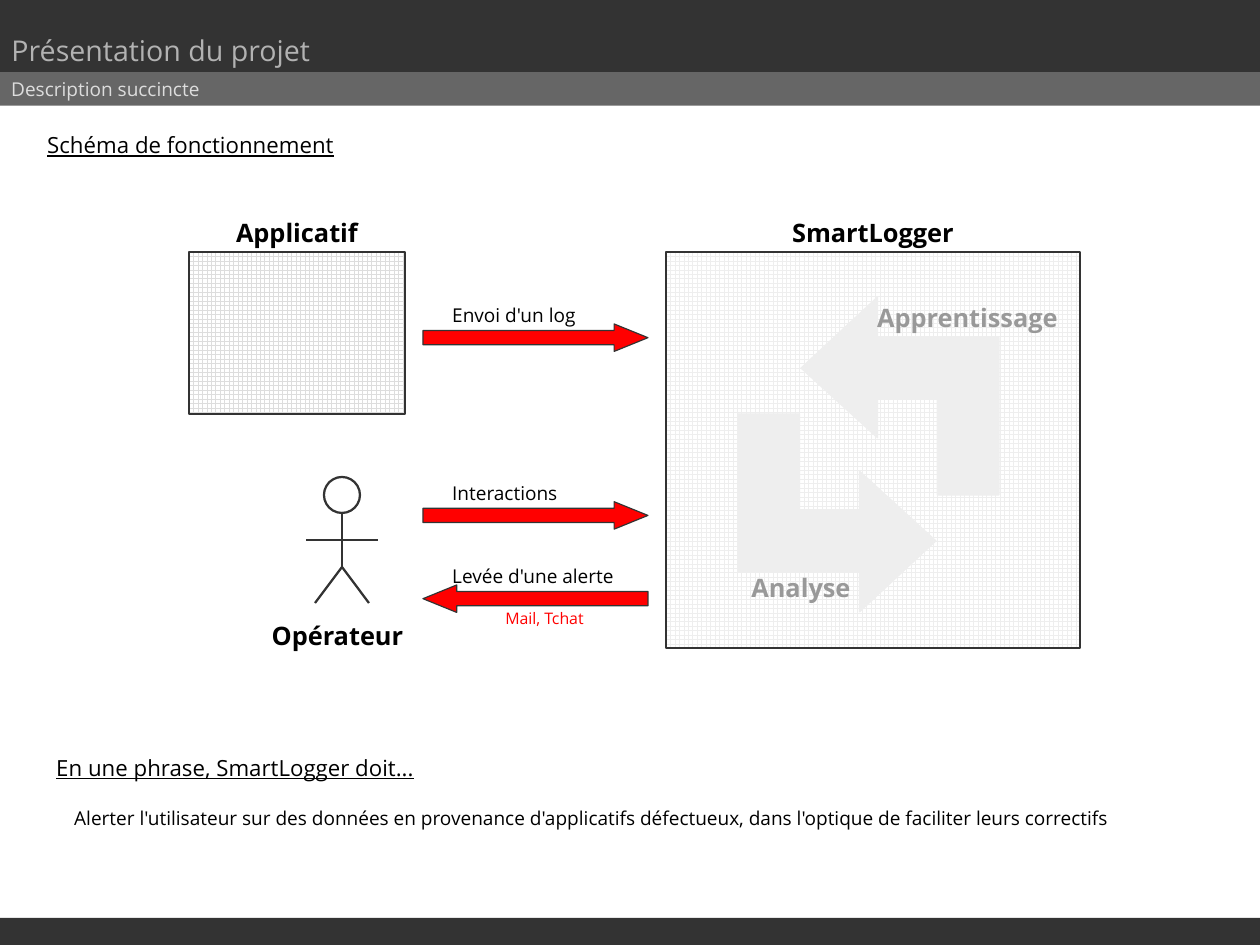
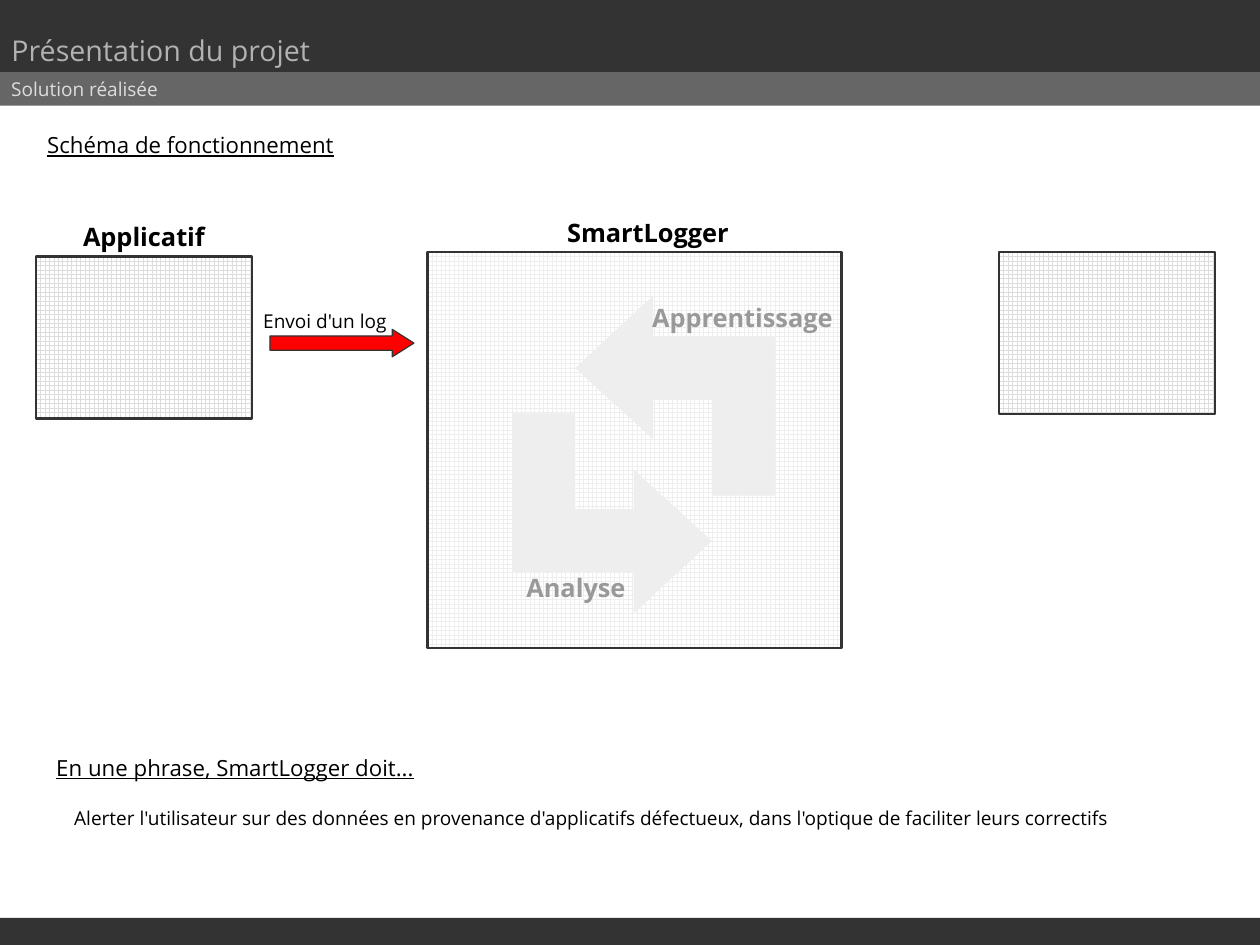
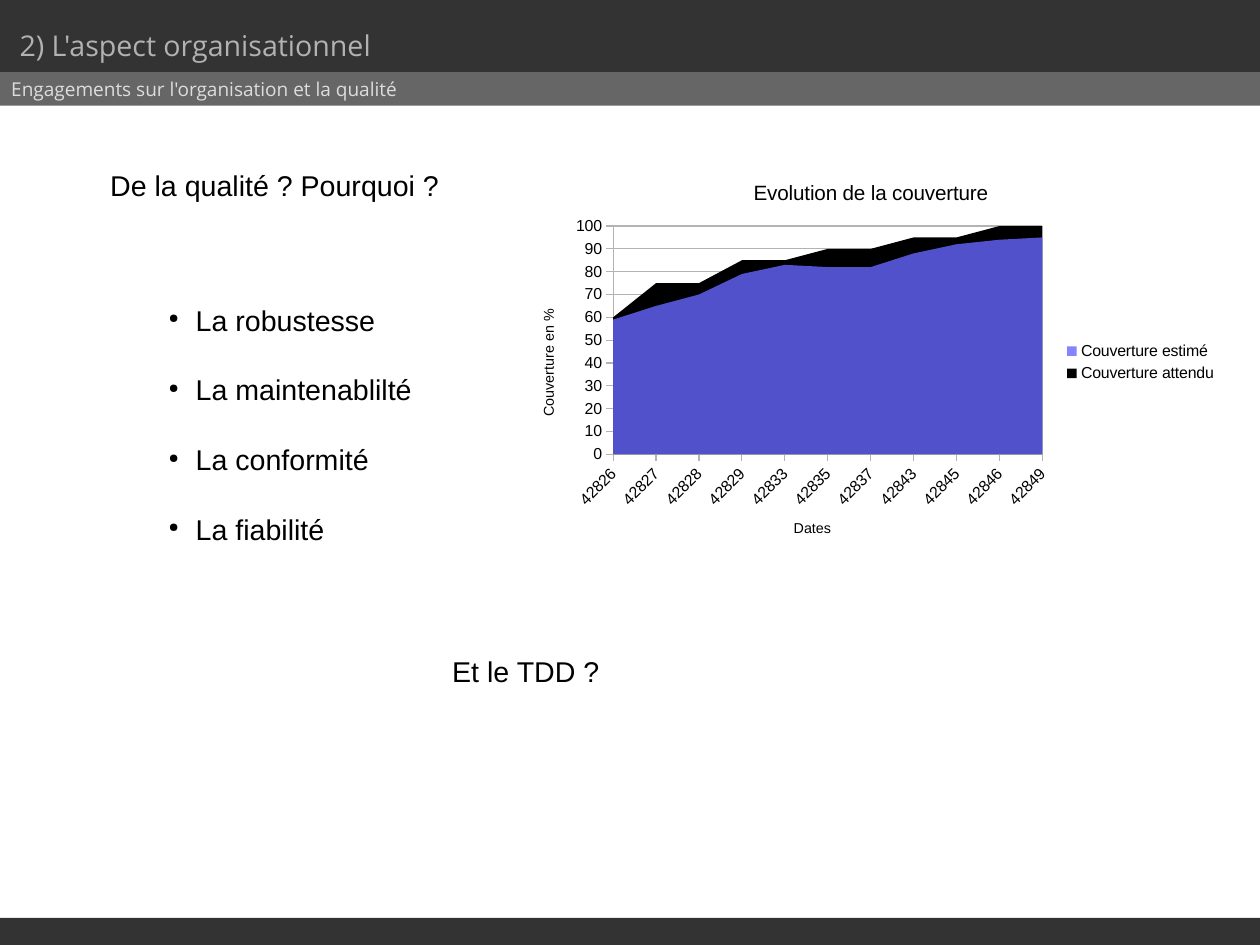
import pptx
import pptx.chart.data
import pptx.dml.color
import pptx.enum.chart
import pptx.enum.dml
import pptx.enum.shapes
import pptx.enum.text
import pptx.oxml
import pptx.oxml.ns
import pptx.util
from lxml import etree

# Grid: 28 columns by 21 rows of square cells, one centimetre each
COLUMNS, ROWS = 28, 21

DARK, GREY, RED, BLACK, WHITE = "333333", "666666", "FF0000", "000000", "FFFFFF"
TITLE_TEXT, SUBTITLE_TEXT = "B2B2B2", "DDDDDD"
APP_GRID, LOGGER_GRID, LOOP_TEXT, CHART_LINE = "DDDDDD", "EEEEEE", "999999", "B3B3B3"
SANS, CHART_FONT = "Open Sans", "Arial"
OUTLINE = 1.42

SHAPE = pptx.enum.shapes.MSO_SHAPE
CENTER = pptx.enum.text.PP_ALIGN.CENTER
LEFT = pptx.enum.text.PP_ALIGN.LEFT

# Elbow arrow outline inside a square of LOOP_SIZE cells
LOOP_SIZE = 4.4
LOOP = [(2.7, 1.27), (2.7, 2.13), (1.37, 2.13), (1.37, 0), (0, 0),
        (0, 3.5), (2.7, 3.5), (2.7, 4.4), (4.4, 2.82)]


def cells(*counts):
    return [pptx.util.Cm(count) for count in counts]


def color(hex_text):
    return pptx.dml.color.RGBColor.from_string(hex_text)


def add_xml(parent, tag, **attributes):
    child = etree.SubElement(parent, pptx.oxml.ns.qn(tag))
    for name, value in attributes.items():
        child.set(name, str(value))
    return child


def style_font(font, size, hex_text=BLACK, name=SANS, bold=False, underline=None):
    font.size = pptx.util.Pt(size)
    font.name = name
    font.bold = bold
    font.underline = underline
    font.color.rgb = color(hex_text)


def set_text(box, text, size, hex_text=BLACK, align=LEFT, **style):
    frame = box.text_frame
    frame.word_wrap = True
    frame.auto_size = pptx.enum.text.MSO_AUTO_SIZE.NONE
    frame.vertical_anchor = pptx.enum.text.MSO_ANCHOR.TOP
    frame.text = text
    for paragraph in frame.paragraphs:
        paragraph.alignment = align
        for run in paragraph.runs:
            style_font(run.font, size, hex_text, **style)
    return frame


def add_label(slide, text, area, size, hex_text=BLACK, **style):
    return set_text(slide.shapes.add_textbox(*cells(*area)), text, size, hex_text, **style)


def add_block(slide, kind, area, fill=None, line=None, width=OUTLINE):
    block = slide.shapes.add_shape(kind, *cells(*area))
    finish_block(block, fill, line, width)
    return block


def finish_block(block, fill, line, width=0):
    block.shadow.inherit = False
    if fill:
        block.fill.solid()
        block.fill.fore_color.rgb = color(fill)
    else:
        block.fill.background()
    if line:
        block.line.color.rgb = color(line)
        block.line.width = pptx.util.Pt(width)
    else:
        block.line.fill.background()


def add_grid_box(slide, area, grid_color):
    box = add_block(slide, SHAPE.RECTANGLE, area, WHITE, DARK)
    box.fill.patterned()
    box.fill.pattern = pptx.enum.dml.MSO_PATTERN.LARGE_GRID
    box.fill.fore_color.rgb = color(grid_color)
    box.fill.back_color.rgb = color(WHITE)


def add_line(slide, start, end):
    line = slide.shapes.add_connector(
        pptx.enum.shapes.MSO_CONNECTOR.STRAIGHT, *cells(*start, *end))
    line.line.color.rgb = color(DARK)
    line.line.width = pptx.util.Pt(OUTLINE)
    add_xml(line.element.spPr, "a:effectLst")


def add_page(deck, title, subtitle, title_at=(0, 0.6)):
    """Slide with the shared bands, title and subtitle."""
    slide = deck.slides.add_slide(deck.slide_layouts[5])
    heading = slide.shapes.title
    for top, height, fill in [(1.4, 0.95, GREY), (20.4, ROWS - 20.4, DARK), (0, 1.6, DARK)]:
        band = add_block(slide, SHAPE.RECTANGLE, (0, top, COLUMNS, height), fill)
        heading.element.addprevious(band.element)
    heading.left, heading.top, heading.width, heading.height = cells(*title_at, 11, 1.1)
    set_text(heading, title, 18, TITLE_TEXT)
    add_label(slide, subtitle, (0, 1.6, COLUMNS, 0.8), 12, SUBTITLE_TEXT)
    return slide


def add_app_box(slide, left, top):
    add_grid_box(slide, (left, top, 4.8, 3.6), APP_GRID)


def add_application(slide, left, top):
    add_app_box(slide, left, top)
    add_label(slide, "Applicatif", (left - 0.2, top - 0.9, 5.2, 1), 16, bold=True, align=CENTER)


def add_loop_arrow(slide, left, top, turned=False):
    corners = [(LOOP_SIZE - x, LOOP_SIZE - y) if turned else (x, y) for x, y in LOOP]
    points = [cells(left + x, top + y) for x, y in corners]
    outline = slide.shapes.build_freeform(*points[0])
    outline.add_line_segments(points[1:], close=True)
    finish_block(outline.convert_to_shape(), LOGGER_GRID, LOGGER_GRID)


def add_logger(slide, box_left, content_left):
    top = 5.6
    add_grid_box(slide, (box_left, top, 9.2, 8.8), LOGGER_GRID)
    add_loop_arrow(slide, content_left + 1.6, top + 3.6)
    add_loop_arrow(slide, content_left + 3, top + 1, turned=True)
    for text, x, y, width, hex_text in [("SmartLogger", 0, -0.9, 9.2, BLACK),
                                        ("Analyse", 0.8, 7, 4.4, LOOP_TEXT),
                                        ("Apprentissage", 4, 1, 5.4, LOOP_TEXT)]:
        add_label(slide, text, (content_left + x, top + y, width, 1.1), 16, hex_text,
                  bold=True, align=CENTER)


def add_message(slide, text, left, top, width=5, head=1.23, indent=0.4,
                kind=SHAPE.RIGHT_ARROW):
    arrow = add_block(slide, kind, (left, top, width, 0.61), RED, DARK, 0)
    arrow.adjustments[0], arrow.adjustments[1] = 0.52, head
    add_label(slide, text, (left + indent, top - 0.57, 4.6, 1.2), 12)


def add_operator(slide):
    middle, neck, hip = 7.6, 11.4, 12.6
    add_block(slide, SHAPE.OVAL, (middle - 0.4, neck - 0.8, 0.8, 0.8), line=DARK)
    add_line(slide, (middle, neck), (middle, hip))
    add_line(slide, (middle - 0.8, 12), (middle + 0.8, 12))
    for side in (-0.6, 0.6):
        add_line(slide, (middle, hip), (middle + side, hip + 0.8))
    add_label(slide, "Opérateur", (5.6, 13.65, 3.8, 1.55), 16, bold=True, align=CENTER)


def add_scheme_texts(slide):
    add_label(slide, "Schéma de fonctionnement", (0.8, 2.8, 8.8, 1.4), 14, underline=True)
    add_label(slide, "En une phrase, SmartLogger doit...", (1, 16.63, 9.8, 1.1), 14,
              underline=True)
    add_label(slide, "Alerter l'utilisateur sur des données en provenance d'applicatifs "
              "défectueux, dans l'optique de faciliter leurs correctifs",
              (1.4, 17.8, 23.8, 1.2), 12)


def add_bullets(slide, items, area):
    frame = add_label(slide, "\n".join(items), area, 18, name=CHART_FONT)
    for position, paragraph in enumerate(frame.paragraphs):
        if position:
            paragraph.space_before = pptx.util.Pt(22.3)
        properties = paragraph._p.get_or_add_pPr()
        hang = pptx.util.Cm(0.6)
        properties.set("marL", str(hang))
        properties.set("indent", str(-hang))
        add_xml(add_xml(properties, "a:buClr"), "a:srgbClr", val=BLACK)
        add_xml(properties, "a:buSzPct", val=45000)
        add_xml(properties, "a:buChar", char="●")


def set_chart_title(owner, text, size):
    owner.has_title = True
    title = owner.chart_title if hasattr(owner, "chart_title") else owner.axis_title
    title.text_frame.text = text
    style_font(title.text_frame.paragraphs[0].runs[0].font, size, name=CHART_FONT)


def style_axis(axis, title):
    set_chart_title(axis, title, 9)
    style_font(axis.tick_labels.font, 10, name=CHART_FONT)
    axis.major_tick_mark = pptx.enum.chart.XL_TICK_MARK.OUTSIDE
    axis.format.line.color.rgb = color(CHART_LINE)
    axis.format.line.width = pptx.util.Pt(0)


def set_plot_area(chart, **shares):
    """Fix the inner plot area, in shares of the chart's size."""
    plot_area = chart._chartSpace.chart.plotArea
    for old in plot_area.findall(pptx.oxml.ns.qn("c:layout")):
        plot_area.remove(old)
    layout = add_xml(plot_area, "c:layout")
    plot_area.insert(0, layout)
    manual = add_xml(layout, "c:manualLayout")
    add_xml(manual, "c:layoutTarget", val="inner")
    add_xml(manual, "c:xMode", val="edge")
    add_xml(manual, "c:yMode", val="edge")
    for name, share in shares.items():
        add_xml(manual, "c:" + name, val=share)


def add_coverage_chart(slide, area):
    coverage = pptx.chart.data.CategoryChartData()
    coverage.categories = ["42826", "42827", "42828", "42829", "42833", "42835",
                           "42837", "42843", "42845", "42846", "42849"]
    coverage.add_series("Couverture estimé", [59, 65, 70, 79, 83, 82, 82, 88, 92, 94, 95])
    coverage.add_series("Couverture attendu", [60, 75, 75, 85, 85, 90, 90, 95, 95, 100, 100])
    chart = slide.shapes.add_chart(
        pptx.enum.chart.XL_CHART_TYPE.AREA, *cells(*area), coverage).chart
    style_font(chart.font, 10, name=CHART_FONT)
    set_chart_title(chart, "Evolution de la couverture", 13)
    chart.has_legend = True
    chart.legend.position = pptx.enum.chart.XL_LEGEND_POSITION.RIGHT
    chart.legend.include_in_layout = False
    style_font(chart.legend.font, 10, name=CHART_FONT)

    # Axes
    dates, percent = chart.category_axis, chart.value_axis
    style_axis(dates, "Dates")
    style_axis(percent, "Couverture en %")
    dates.tick_labels.font._element.getparent().getparent().getparent().find(
        pptx.oxml.ns.qn("a:bodyPr")).set("rot", "-2700000")
    percent.minimum_scale, percent.maximum_scale, percent.major_unit = 0, 100, 10
    percent.has_major_gridlines = True
    percent.major_gridlines.format.line.color.rgb = color(CHART_LINE)
    percent.major_gridlines.format.line.width = pptx.util.Pt(0)

    # Series: the estimate is slightly transparent
    plot = chart.plots[0]
    plot.vary_by_categories = False
    for series, fill in zip(plot.series, ("6666FF", BLACK)):
        series.format.fill.solid()
        series.format.fill.fore_color.rgb = color(fill)
        series.format.line.fill.background()
    estimate = plot.series[0].format.fill._xPr.find(".//" + pptx.oxml.ns.qn("a:srgbClr"))
    add_xml(estimate, "a:alpha", val=80000)
    set_plot_area(chart, x=0.14, y=0.16, w=0.6, h=0.57)


def build_description(deck):
    slide = add_page(deck, "Présentation du projet", "Description succincte")
    add_scheme_texts(slide)
    add_application(slide, 4.2, 5.6)
    add_logger(slide, 14.8, 14.8)
    add_operator(slide)
    add_message(slide, "Envoi d'un log", 9.4, 7.2)
    add_message(slide, "Interactions", 9.4, 11.15)
    add_message(slide, "Levée d'une alerte", 9.4, 13, kind=SHAPE.LEFT_ARROW)
    add_label(slide, "Mail, Tchat", (10.4, 13.4, 3.4, 1.2), 10, RED, align=CENTER)


def build_solution(deck):
    slide = add_page(deck, "Présentation du projet", "Solution réalisée")
    add_scheme_texts(slide)
    add_application(slide, 0.8, 5.7)
    add_logger(slide, 9.5, 9.8)
    add_message(slide, "Envoi d'un log", 6, 7.32, width=3.2, head=0.79, indent=-0.4)
    add_app_box(slide, 22.2, 5.6)


def build_quality(deck):
    slide = add_page(deck, "2) L'aspect organisationnel",
                     "Engagements sur l'organisation et la qualité", (0.18, 0.5))
    add_label(slide, "De la qualité ? Pourquoi ?", (2.2, 3.6, 9, 1), 18, name=CHART_FONT)
    add_bullets(slide, ["La robustesse", "La maintenablilté", "La conformité", "La fiabilité"],
                (3.5, 6.6, 7.8, 6.7))
    add_label(slide, "Et le TDD ?", (9.8, 14.4, 13.2, 1), 18, name=CHART_FONT)
    add_coverage_chart(slide, (11.4, 3.6, 15.9, 8.9))


def main():
    deck = pptx.Presentation()
    deck.slide_width, deck.slide_height = cells(COLUMNS, ROWS)
    build_description(deck)
    build_solution(deck)
    build_quality(deck)
    deck.save("out.pptx")


if __name__ == "__main__":
    main()
